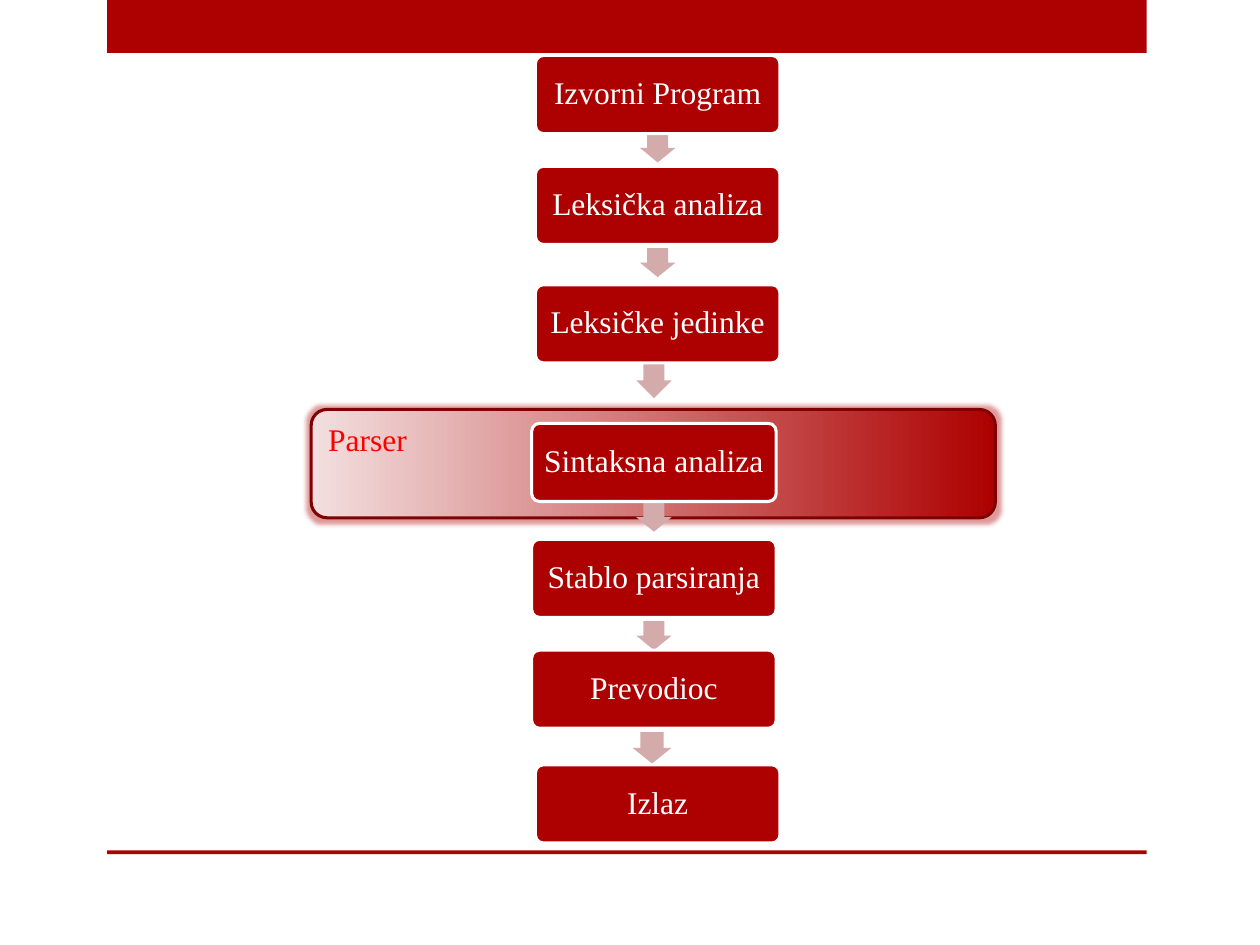
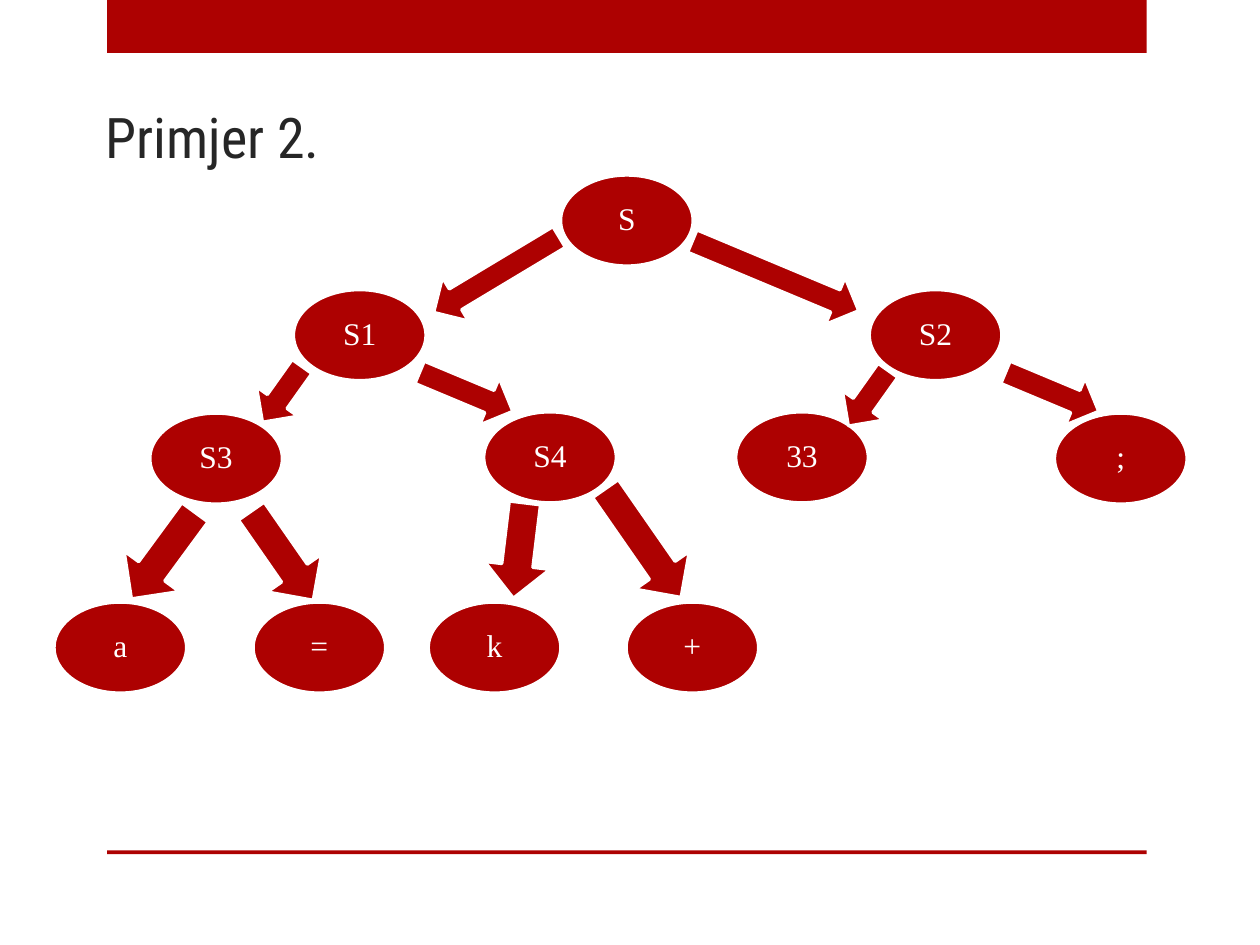
from lxml import etree
from pptx import Presentation
from pptx.dml.color import RGBColor
from pptx.enum.shapes import MSO_SHAPE
from pptx.enum.text import MSO_ANCHOR, PP_ALIGN
from pptx.oxml.ns import qn
from pptx.util import Inches, Pt

RECTANGLE = MSO_SHAPE.RECTANGLE
ROUNDED = MSO_SHAPE.ROUNDED_RECTANGLE
ELLIPSE = MSO_SHAPE.OVAL
DOWN_ARROW = MSO_SHAPE.DOWN_ARROW
RIGHT_ARROW = MSO_SHAPE.RIGHT_ARROW
TOP, MIDDLE, BOTTOM = MSO_ANCHOR.TOP, MSO_ANCHOR.MIDDLE, MSO_ANCHOR.BOTTOM
LEFT, CENTER = PP_ALIGN.LEFT, PP_ALIGN.CENTER

RED = "AD0101"
DARK_RED = "800101"
BRIGHT_RED = "FF0000"
PALE_RED = "F3DFDF"
ARROW_PINK = "D3ABAB"
WHITE = "FFFFFF"
TITLE_GREY = "262626"
BODY_FONT = "Times New Roman"
TITLE_FONT = "Roboto Condensed"

STEP_SIZE = (1.94, 0.62)
STEPS = [
    ("Izvorni Program", 4.25, 0.44),
    ("Leksička analiza", 4.25, 1.32),
    ("Leksičke jedinke", 4.25, 2.26),
    ("Sintaksna analiza", 4.22, 3.36),
    ("Stablo parsiranja", 4.22, 4.28),
    ("Prevodioc", 4.22, 5.16),
    ("Izlaz", 4.25, 6.07),
]
STEP_ARROWS = [
    (5.08, 1.06, 0.28, 0.23),
    (5.08, 1.97, 0.28, 0.23),
    (5.05, 2.88, 0.28, 0.28),
    (5.05, 3.99, 0.28, 0.23),
    (5.05, 4.93, 0.28, 0.23),
    (5.02, 5.81, 0.31, 0.25),
]

NODE_SIZE = (1.05, 0.72)
TREE_NODES = [
    ("S", 4.45, 1.39),
    ("S1", 2.33, 2.3),
    ("S2", 6.9, 2.3),
    ("S3", 1.19, 3.28),
    ("S4", 3.84, 3.27),
    ("33", 5.84, 3.27),
    (";", 8.37, 3.28),
    ("a", 0.43, 4.78),
    ("=", 2.01, 4.78),
    ("k", 3.4, 4.78),
    ("+", 4.97, 4.78),
]
TREE_ARROWS = [
    ((5.44, 1.99, 1.43, 0.4), 22.7),
    ((7.95, 2.91, 0.8, 0.4), 22.7),
    ((6.62, 2.96, 0.54, 0.4), 125.4),
    ((0.87, 4.14, 0.85, 0.54), 126.3),
    ((1.97, 2.93, 0.54, 0.4), 125.4),
    ((3.3, 2.91, 0.8, 0.4), 22.7),
    ((1.81, 4.15, 0.86, 0.52), 55.2),
    ((3.74, 4.11, 0.76, 0.52), 96.9),
    ((4.58, 4.05, 1.05, 0.52), 55.2),
    ((3.36, 1.98, 1.16, 0.4), 149),
]


def rgb(color):
    """Turn a hex string into a colour."""
    return RGBColor.from_string(color)


def add_figure(slide, kind, box, fill=RED, line=None, adjustments=()):
    """Add a flat preset shape with an optional outline."""
    shape = slide.shapes.add_shape(kind, *map(Inches, box))
    shape.shadow.inherit = False
    shape.fill.solid()
    shape.fill.fore_color.rgb = rgb(fill)
    if line:
        shape.line.color.rgb = rgb(line)
        shape.line.width = Pt(1.75)
    else:
        shape.line.fill.background()
    for index, value in enumerate(adjustments):
        shape.adjustments[index] = value
    return shape


def write_text(shape, text, size=18, font=BODY_FONT, color=WHITE, anchor=MIDDLE,
               align=CENTER, spacing=1.0, inset=None, wrap=True):
    """Write one formatted paragraph into a shape."""
    frame = shape.text_frame
    frame.word_wrap = wrap
    frame.vertical_anchor = anchor
    if inset is not None:
        frame.margin_left = frame.margin_right = Inches(inset)
        frame.margin_top = frame.margin_bottom = Inches(inset)
    paragraph = frame.paragraphs[0]
    paragraph.alignment = align
    paragraph.line_spacing = spacing
    run = paragraph.add_run()
    run.text = text
    run.font.size = Pt(size)
    run.font.name = font
    run.font.color.rgb = rgb(color)


def add_labelled(slide, kind, box, text, adjustments=()):
    """Add a red shape with a white outline and a centred label."""
    shape = add_figure(slide, kind, box, line=WHITE, adjustments=adjustments)
    write_text(shape, text, spacing=0.9, inset=0.09, wrap=False)


def add_glow(shape, color, radius, opacity):
    """Put a soft glow around a shape."""
    effects = shape._element.spPr.find(qn("a:effectLst"))
    glow = etree.SubElement(effects, qn("a:glow"), rad=str(Pt(radius)))
    glow_color = etree.SubElement(glow, qn("a:srgbClr"), val=color)
    etree.SubElement(glow_color, qn("a:alpha"), val=str(opacity * 1000))


def add_base_slide(presentation):
    """Add a blank slide with the top band and the bottom rule."""
    slide = presentation.slides.add_slide(presentation.slide_layouts[6])
    for top, height in ((0, 0.42), (6.75, 0.03)):
        add_figure(slide, RECTANGLE, (0.85, top, 8.25, height))
    return slide


def add_title(slide, box, text):
    """Add the slide title, resting on the bottom of its box."""
    title = slide.shapes.add_textbox(*map(Inches, box))
    write_text(title, text, size=32, font=TITLE_FONT, color=TITLE_GREY,
               anchor=BOTTOM, align=LEFT)


def add_parser_panel(slide, box):
    """Add the glowing gradient panel behind the syntax analysis step."""
    panel = add_figure(slide, ROUNDED, box, line=DARK_RED, adjustments=(0.146,))
    panel.fill.gradient()
    panel.fill.gradient_angle = 180
    for stop, color in zip(panel.fill.gradient_stops, (RED, PALE_RED)):
        stop.color.rgb = rgb(color)
    add_glow(panel, RED, 5, 40)
    write_text(panel, "Parser", color=BRIGHT_RED, anchor=TOP, align=LEFT)


def build_flow_slide(presentation):
    """Build the chain of compilation steps."""
    slide = add_base_slide(presentation)
    add_parser_panel(slide, (2.47, 3.25, 5.43, 0.86))
    for box in STEP_ARROWS:
        add_figure(slide, DOWN_ARROW, box, fill=ARROW_PINK, adjustments=(0.6, 0.5))
    for text, left, top in STEPS:
        add_labelled(slide, ROUNDED, (left, top, *STEP_SIZE), text, (0.1,))


def build_tree_slide(presentation):
    """Build the parse tree of the second example."""
    slide = add_base_slide(presentation)
    add_title(slide, (0.74, -0.35, 7.42, 1.75), "Primjer 2.")
    for text, left, top in TREE_NODES:
        add_labelled(slide, ELLIPSE, (left, top, *NODE_SIZE), text)
    for box, rotation in TREE_ARROWS:
        arrow = add_figure(slide, RIGHT_ARROW, box, line=WHITE, adjustments=(0.475, 0.5))
        arrow.rotation = rotation


def main():
    """Build and save the presentation."""
    presentation = Presentation()
    presentation.slide_width = Inches(10)
    presentation.slide_height = Inches(7.5)
    build_flow_slide(presentation)
    build_tree_slide(presentation)
    presentation.save("out.pptx")


if __name__ == "__main__":
    main()
